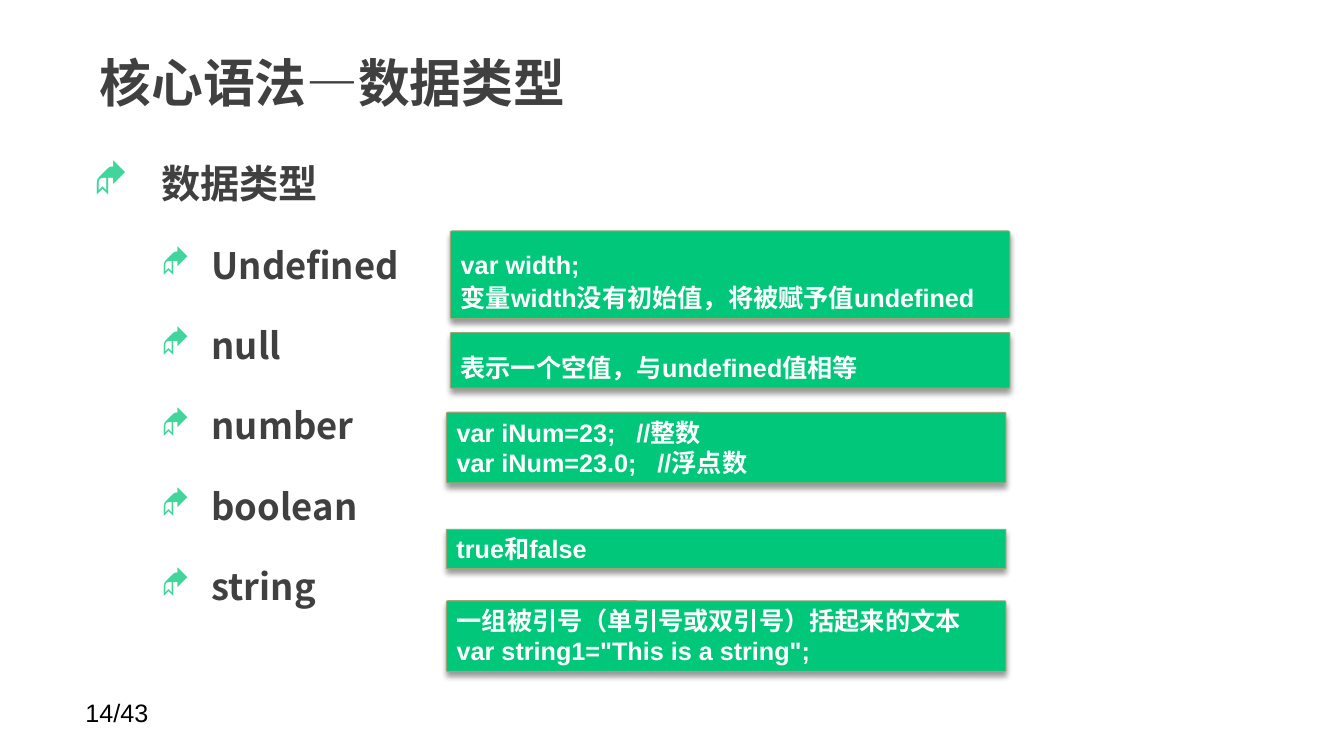
from lxml.etree import SubElement
from pptx import Presentation
from pptx.dml.color import RGBColor
from pptx.enum.shapes import MSO_SHAPE
from pptx.enum.text import MSO_ANCHOR, MSO_AUTO_SIZE, PP_ALIGN
from pptx.oxml.ns import qn
from pptx.util import Cm, Pt

BLACK = RGBColor(0x00, 0x00, 0x00)
WHITE = RGBColor(0xFF, 0xFF, 0xFF)
CHARCOAL = RGBColor(0x40, 0x40, 0x40)
GREEN = RGBColor(0x00, 0xC7, 0x7A)
MINT = RGBColor(0x40, 0xD5, 0x9B)
OLIVE = RGBColor(0x9F, 0xA5, 0x78)

HEADING_FONT = "Noto Sans CJK SC"
NOTE_FONT = "Arial"

TYPE_NAMES = ["Undefined", "null", "number", "boolean", "string"]

# Left, top, width, height in cm, line spacing, space before, lines
NOTES = [
    ((11.35, 5.82, 14.1, 2.21), 0.9, 4,
     ["var width;", "变量width没有初始值，将被赋予值undefined"]),
    ((11.35, 8.38, 14.1, 1.4), 0.9, 4, ["表示一个空值，与undefined值相等"]),
    ((11.25, 10.39, 14.1, 1.78), 1, 0,
     ["var iNum=23;   //整数", "var iNum=23.0;   //浮点数"]),
    ((11.25, 13.34, 14.1, 0.99), 1, 0, ["true和false"]),
    ((11.25, 15.14, 14.1, 1.78), 1, 0,
     ["一组被引号（单引号或双引号）括起来的文本",
      'var string1="This is a string";']),
]


def add_span(para, text, size, font, color, bold=True):
    span = para.add_run()
    span.text = text
    span.font.size = Pt(size)
    span.font.bold = bold
    span.font.color.rgb = color
    span.font.name = font
    SubElement(span.font._element, qn("a:ea"), typeface=font)


def next_para(frame, index):
    return frame.add_paragraph() if index else frame.paragraphs[0]


def set_insets(frame):
    frame.margin_left = frame.margin_right = Cm(0.33)
    frame.margin_top = frame.margin_bottom = Cm(0.15)


def add_bullet(para, margin, hanging, percent):
    props = para._p.get_or_add_pPr()
    props.set("marL", str(Cm(margin)))
    props.set("indent", str(-Cm(hanging)))
    color = SubElement(props, qn("a:buClr"))
    SubElement(color, qn("a:srgbClr"), val=str(MINT))
    SubElement(props, qn("a:buSzPct"), val=str(percent * 1000))
    SubElement(props, qn("a:buFont"), typeface="Wingdings")
    SubElement(props, qn("a:buChar"), char="◆")


def add_soft_shadow(shape):
    shape.shadow.inherit = False
    effects = shape._element.spPr.find(qn("a:effectLst"))
    shadow = SubElement(effects, qn("a:outerShdw"), blurRad=str(Pt(4)),
                        dist=str(Pt(3)), dir="5400000", rotWithShape="0")
    color = SubElement(shadow, qn("a:srgbClr"), val=str(BLACK))
    SubElement(color, qn("a:alpha"), val="40000")


def place_title(page, left, top, width, height):
    title = page.shapes.title
    title.left, title.top = Cm(left), Cm(top)
    title.width, title.height = Cm(width), Cm(height)
    frame = title.text_frame
    frame.auto_size = MSO_AUTO_SIZE.NONE
    frame.vertical_anchor = MSO_ANCHOR.MIDDLE
    set_insets(frame)
    para = frame.paragraphs[0]
    para.alignment = PP_ALIGN.LEFT
    add_span(para, "核心语法—数据类型", 37, HEADING_FONT, CHARCOAL)


def add_type_list(page, left, top, width, height):
    box = page.shapes.add_textbox(Cm(left), Cm(top), Cm(width), Cm(height))
    frame = box.text_frame
    frame.word_wrap = True
    set_insets(frame)
    frame.margin_top = Cm(0.58)
    # Heading of the list
    heading = frame.paragraphs[0]
    add_bullet(heading, 1.7, 1.7, 100)
    add_span(heading, "数据类型", 28, HEADING_FONT, CHARCOAL)
    # One item for each data type
    for name in TYPE_NAMES:
        para = frame.add_paragraph()
        para.level = 1
        add_bullet(para, 2.97, 1.27, 90)
        para.line_spacing = 1.6
        para.space_before = Pt(7.5)
        add_span(para, name, 26, HEADING_FONT, CHARCOAL)


def add_note(page, bounds, spacing, before, lines):
    note = page.shapes.add_shape(MSO_SHAPE.ROUNDED_RECTANGLE,
                                 *[Cm(length) for length in bounds])
    note.adjustments[0] = 0.02
    note.fill.solid()
    note.fill.fore_color.rgb = GREEN
    note.line.color.rgb = OLIVE
    note.line.width = Pt(0.75)
    add_soft_shadow(note)
    frame = note.text_frame
    frame.word_wrap = True
    frame.margin_right = 0
    frame.vertical_anchor = MSO_ANCHOR.BOTTOM
    for index, line in enumerate(lines):
        para = next_para(frame, index)
        para.alignment = PP_ALIGN.LEFT
        para.line_spacing = spacing
        if index:
            para.space_before = Pt(before)
        add_span(para, line, 18, NOTE_FONT, WHITE)


def add_page_number(page, left, top, width, height):
    box = page.shapes.add_textbox(Cm(left), Cm(top), Cm(width), Cm(height))
    box.text_frame.word_wrap = True
    add_span(box.text_frame.paragraphs[0], "14/43", 18, NOTE_FONT, BLACK,
             bold=False)


def main():
    deck = Presentation()
    deck.slide_width, deck.slide_height = Cm(33.87), Cm(19.05)
    page = deck.slides.add_slide(deck.slide_layouts[5])
    add_page_number(page, 1.9, 17.45, 5.92, 1.02)
    place_title(page, 2.18, 0.76, 26.44, 2.62)
    add_type_list(page, 2.03, 3.43, 9.32, 14.27)
    for note in NOTES:
        add_note(page, *note)
    deck.save("out.pptx")


if __name__ == "__main__":
    main()
